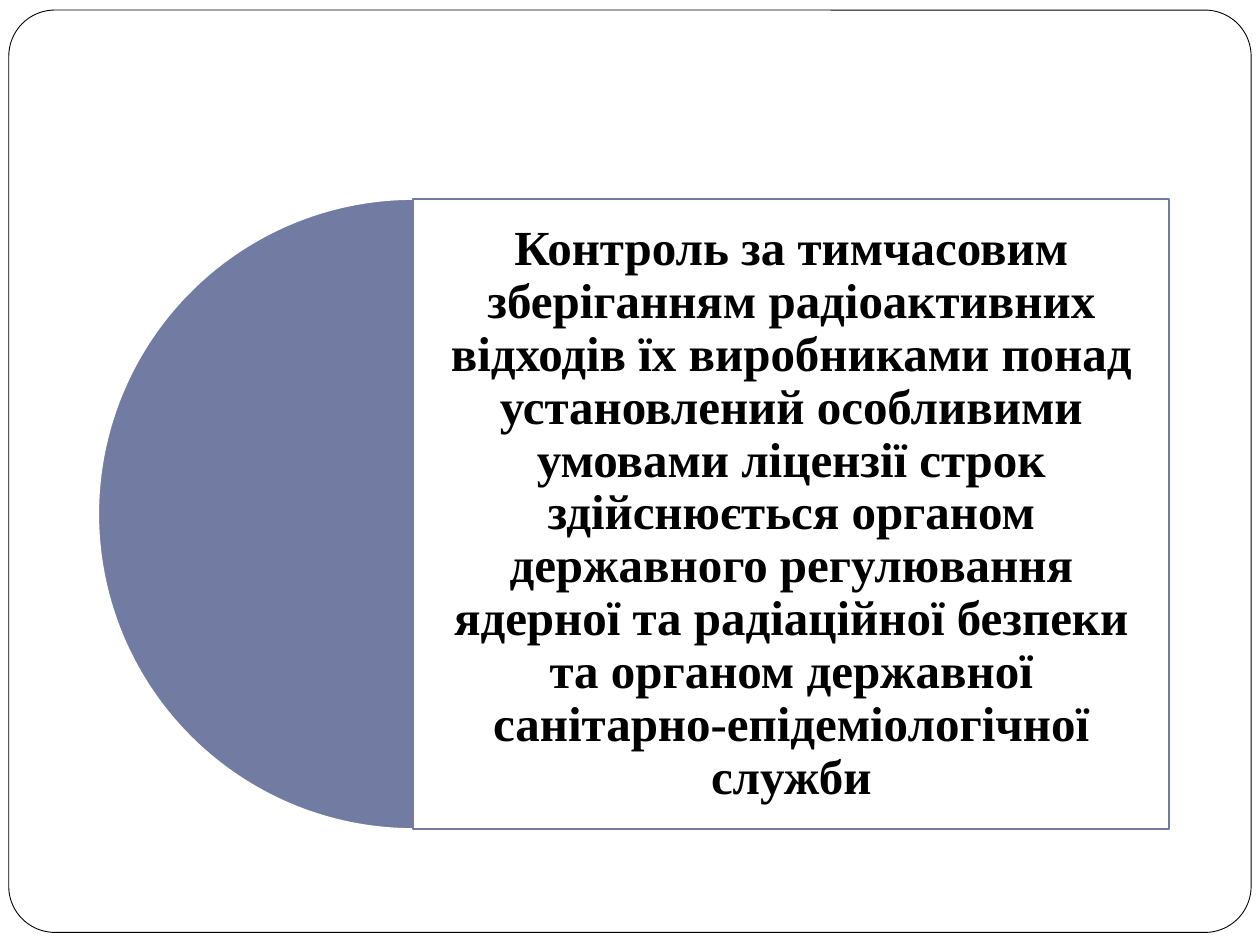
"""Build a slide with a half disc beside a framed statement on waste storage control."""
from lxml import etree
from pptx import Presentation, util as u
from pptx.dml.color import RGBColor
from pptx.enum import shapes, text
from pptx.oxml.ns import qn

WORDS = (
    "Контроль за тимчасовим зберіганням радіоактивних відходів їх виробниками "
    "понад установлений особливими умовами ліцензії строк здійснюється органом "
    "державного регулювання ядерної та радіаційної безпеки та органом державної "
    "санітарно-епідеміологічної служби"
)
HUES = {"white": "FFFFFF", "black": "000000", "slate": "727CA3"}
KIND = shapes.MSO_SHAPE
TOP, SIZE, LEFT, WIDE = 1.58, 5, 0.78, 6
MID = LEFT + SIZE / 2
PANEL = (MID, TOP, WIDE, SIZE)
PARTS = [
    (KIND.ROUNDED_RECTANGLE, (0.07, 0.08, 9.86, 7.32), [0.05], "white", "black", 0.5, 100),
    (KIND.PIE, (LEFT, TOP, SIZE, SIZE), [54, 162], "slate", "white", 1, 100),
    (KIND.RECTANGLE, PANEL, [], "white", "slate", 1, 90),
]
FRAME = {"word_wrap": True, "vertical_anchor": text.MSO_ANCHOR.MIDDLE}
FRAME.update({f"margin_{side}": u.Inches(0.12) for side in ("left", "top", "right", "bottom")})
PARA = {"alignment": text.PP_ALIGN.CENTER, "line_spacing": 0.9}
FONT = {"name": "Times New Roman", "size": u.Pt(28), "bold": True}


def hue(name):
    return RGBColor.from_string(HUES[name])


def style(item, values):
    for key, value in values.items():
        setattr(item, key, value)


def draw(slide, kind, box, turns, fill, line, width, solid):
    part = slide.shapes.add_shape(kind, *map(u.Inches, box))
    part.shadow.inherit = False
    for spot, turn in enumerate(turns):
        part.adjustments[spot] = turn
    part.fill.solid()
    part.fill.fore_color.rgb = hue(fill)
    part.line.color.rgb = hue(line)
    part.line.width = u.Pt(width)
    if solid < 100:
        tint = part.fill._xPr.find(qn("a:solidFill"))[0]
        etree.SubElement(tint, qn("a:alpha"), val=str(solid * 1000))


def write(slide, box, words):
    frame = slide.shapes.add_textbox(*map(u.Inches, box)).text_frame
    style(frame, FRAME)
    para = frame.paragraphs[0]
    style(para, PARA)
    run = para.add_run()
    run.text = words
    style(run.font, FONT)
    run.font.color.rgb = hue("black")


def main():
    deck = Presentation()
    style(deck, {"slide_width": u.Inches(10), "slide_height": u.Inches(7.5)})
    slide = deck.slides.add_slide(deck.slide_layouts[6])
    for part in PARTS:
        draw(slide, *part)
    write(slide, PANEL, WORDS)
    deck.save("out.pptx")


if __name__ == "__main__":
    main()
